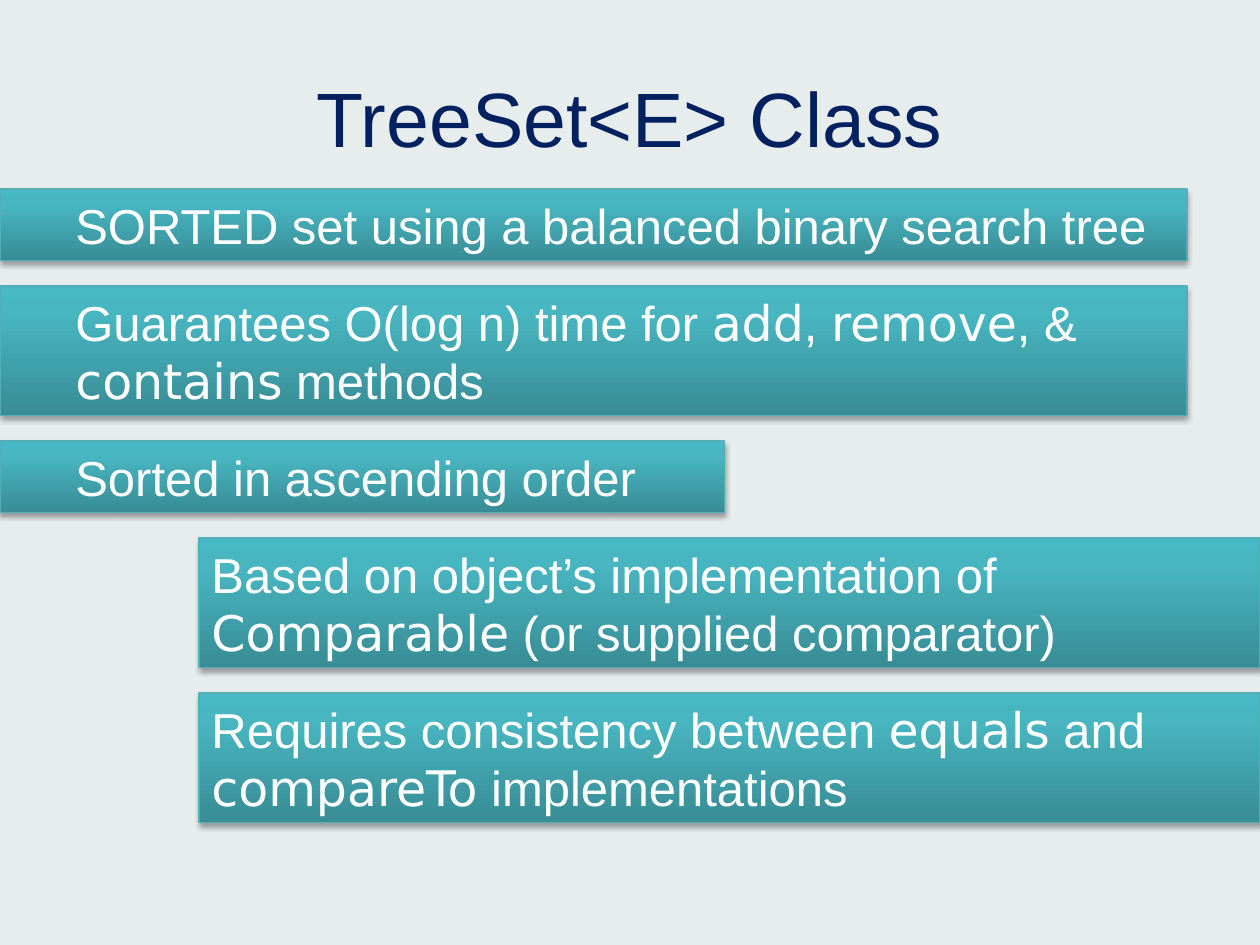
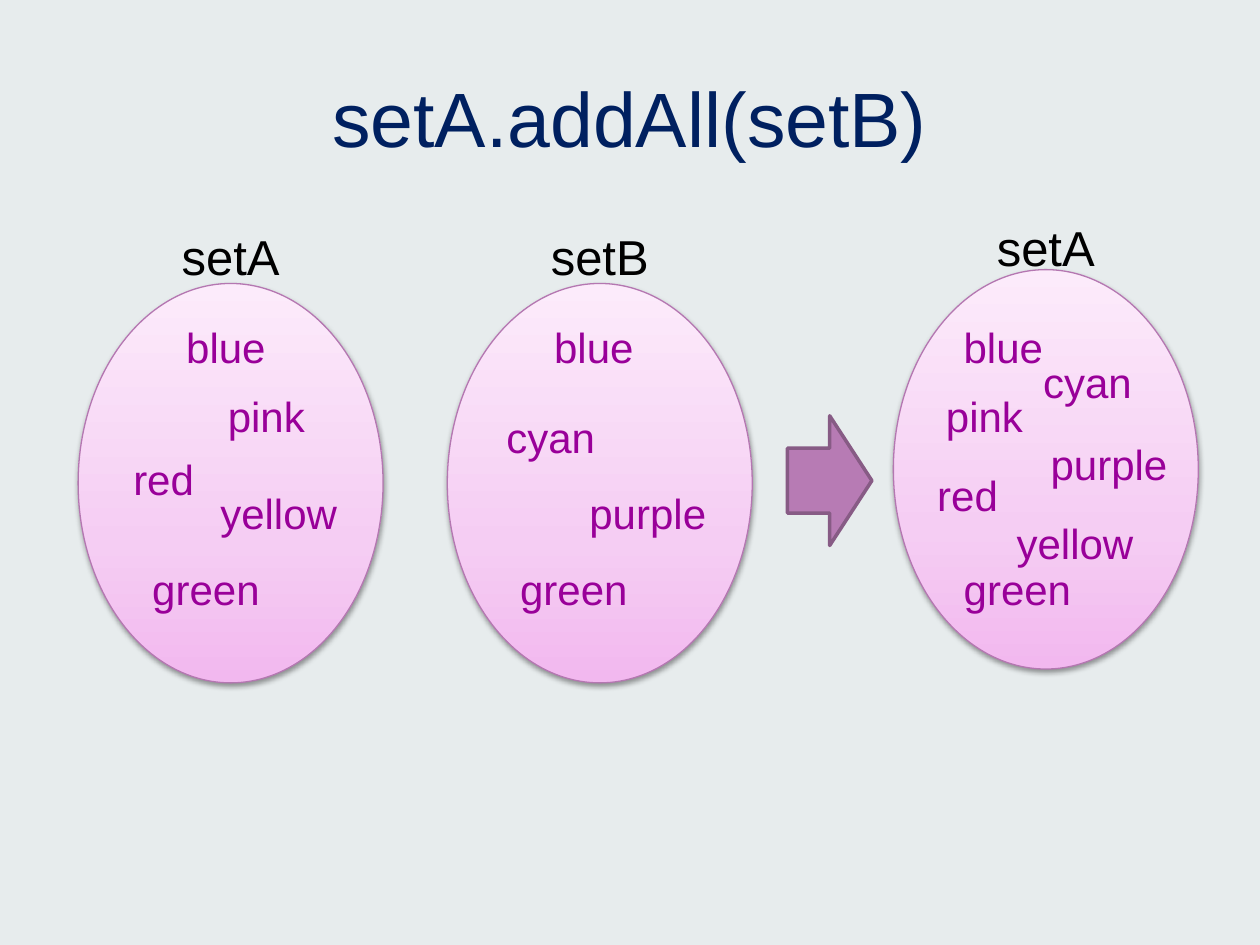
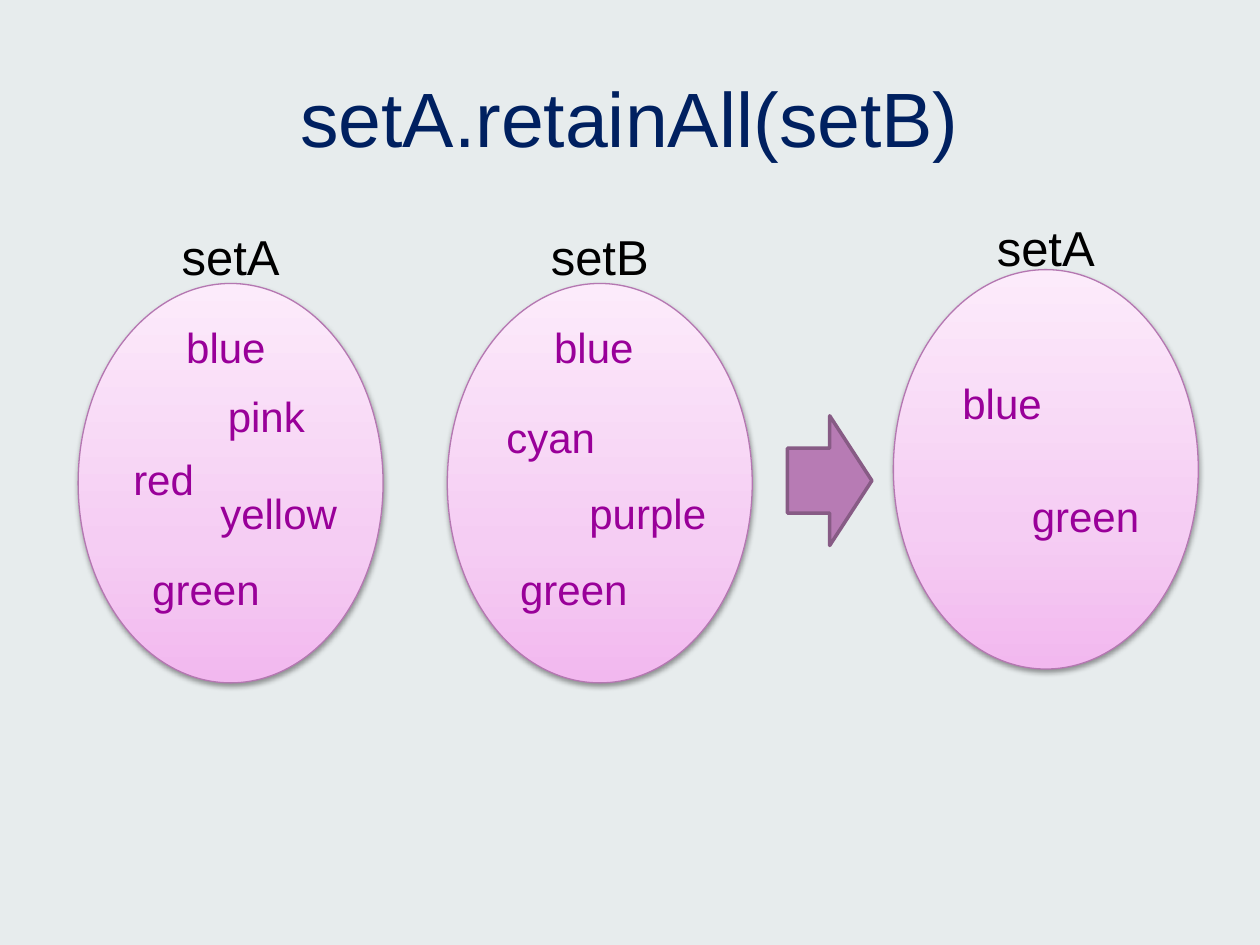
from dataclasses import dataclass

from lxml.etree import SubElement
from pptx import Presentation
from pptx.dml.color import RGBColor
from pptx.enum.shapes import MSO_SHAPE as Preset
from pptx.enum.text import MSO_ANCHOR as Anchor, MSO_AUTO_SIZE as AutoSize, PP_ALIGN as Align
from pptx.oxml.ns import qn
from pptx.shapes.autoshape import Shape
from pptx.shapes.group import GroupShape
from pptx.slide import Slide
from pptx.util import Inches, Pt

BODY_FONT = "Arial"
CODE_FONT = "DejaVu Sans"
BACKGROUND = "E7ECED"
NAVY = "002060"
WHITE = "FFFFFF"
BLACK = "000000"
WORD_COLOR = "990099"
TITLE_ONLY = 5

BAR_TOP = 1.5
BAR_GAP = 0.2
LINE_HEIGHTS = {1: 0.57, 2: 1.03}
OVAL_WIDTH, OVAL_HEIGHT = 2.42, 3.17
LABEL_WIDTH, LABEL_HEIGHT = 1.08, 0.57
WORD_HEIGHT = 0.5
WORD_WIDTHS = {
    "blue": 0.83, "red": 0.83, "pink": 0.83, "green": 1.09,
    "cyan": 1.08, "yellow": 1.14, "purple": 1.14,
}


@dataclass(frozen=True)
class Finish:
    stops: tuple[tuple[int, str], ...]
    line: str
    shadow_alpha: int
    shadow_distance: float


@dataclass(frozen=True)
class Bar:
    text: str
    left: float
    width: float
    lines: int
    level: int = 0


@dataclass(frozen=True)
class Word:
    text: str
    left: float
    top: float


@dataclass(frozen=True)
class ColorSet:
    name: str
    left: float
    top: float
    label_top: float
    words: tuple[Word, ...]


TEAL = Finish(((0, "388C95"), (80, "48B6C1"), (100, "46B9C4")), "55AEB7", 35, 1.8)
PINK = Finish(((0, "F2B8EF"), (35, "F5CDF3"), (100, "FCEBFB")), "B477B1", 38, 1.6)

BARS = (
    Bar("SORTED set using a balanced binary search tree", 0, 9.42, 1, 1),
    Bar("Guarantees O(log n) time for `add`, `remove`, & `contains` methods", 0, 9.42, 2, 1),
    Bar("Sorted in ascending order", 0, 5.75, 1, 1),
    Bar("Based on object’s implementation of `Comparable` (or supplied comparator)", 1.58, 8.42, 2),
    Bar("Requires consistency between `equals` and `compareTo` implementations", 1.58, 8.42, 2),
)

SET_A = ColorSet("setA", 0.62, 2.25, 1.75, (
    Word("blue", 1.38, 2.5), Word("red", 0.96, 3.55), Word("green", 1.11, 4.42),
    Word("pink", 1.71, 3.05), Word("yellow", 1.65, 3.82),
))
SET_B = ColorSet("setB", 3.55, 2.25, 1.75, (
    Word("blue", 4.3, 2.5), Word("green", 4.03, 4.42),
    Word("cyan", 3.92, 3.22), Word("purple", 4.58, 3.82),
))
UNION_WORDS = (
    Word("blue", 7.55, 2.5), Word("red", 7.34, 3.68), Word("green", 7.55, 4.42),
    Word("pink", 7.41, 3.05), Word("yellow", 7.97, 4.06),
    Word("cyan", 8.18, 2.78), Word("purple", 8.24, 3.43),
)
INTERSECTION_WORDS = (Word("blue", 7.54, 2.95), Word("green", 8.09, 3.84))


def rgb(color: str) -> RGBColor:
    return RGBColor.from_string(color)


def box(left: float, top: float, width: float, height: float) -> tuple:
    return Inches(left), Inches(top), Inches(width), Inches(height)


def style_font(font, size: float, color: str, name: str = BODY_FONT) -> None:
    font.name = name
    font.size = Pt(size)
    font.color.rgb = rgb(color)


def add_color(parent, color: str):
    element = SubElement(parent, qn("a:srgbClr"))
    element.set("val", color)
    return element


def apply_finish(shape: Shape, finish: Finish) -> None:
    shape.fill.gradient()
    shape.fill.gradient_angle = 90
    properties = shape.element.spPr
    stop_list = properties.find(qn("a:gradFill")).find(qn("a:gsLst"))
    for old_stop in list(stop_list):
        stop_list.remove(old_stop)
    for position, color in finish.stops:
        stop = SubElement(stop_list, qn("a:gs"))
        stop.set("pos", str(position * 1000))
        add_color(stop, color)

    shape.line.color.rgb = rgb(finish.line)
    shape.line.width = Pt(0.75)

    shape.shadow.inherit = False
    shadow = SubElement(properties.find(qn("a:effectLst")), qn("a:outerShdw"))
    shadow.set("blurRad", str(Pt(3.1)))
    shadow.set("dist", str(Pt(finish.shadow_distance)))
    shadow.set("dir", "5400000")
    shadow.set("rotWithShape", "0")
    alpha = SubElement(add_color(shadow, BLACK), qn("a:alpha"))
    alpha.set("val", str(finish.shadow_alpha * 1000))


def add_titled_slide(presentation, title: str) -> Slide:
    slide = presentation.slides.add_slide(presentation.slide_layouts[TITLE_ONLY])
    shape = slide.shapes.title
    shape.left, shape.top, shape.width, shape.height = box(0.5, 0.3, 9, 1.25)
    frame = shape.text_frame
    frame.text = title
    frame.vertical_anchor = Anchor.MIDDLE
    frame.auto_size = AutoSize.NONE
    paragraph = frame.paragraphs[0]
    paragraph.alignment = Align.CENTER
    style_font(paragraph.runs[0].font, 44, NAVY)
    return slide


def add_bar(slide: Slide, bar: Bar, top: float) -> None:
    height = LINE_HEIGHTS[bar.lines]
    shape = slide.shapes.add_shape(Preset.RECTANGLE, *box(bar.left, top, bar.width, height))
    apply_finish(shape, TEAL)
    frame = shape.text_frame
    frame.word_wrap = True
    frame.auto_size = AutoSize.SHAPE_TO_FIT_TEXT
    frame.vertical_anchor = Anchor.MIDDLE
    paragraph = frame.paragraphs[0]
    paragraph.alignment = Align.LEFT
    if bar.level:
        paragraph.level = bar.level
        paragraph._p.get_or_add_pPr().set("marL", str(Inches(0.5 * bar.level)))
    for index, part in enumerate(bar.text.split("`")):
        if part:
            run = paragraph.add_run()
            run.text = part
            style_font(run.font, 28, WHITE, CODE_FONT if index % 2 else BODY_FONT)


def add_text(group: GroupShape, text: str, place: tuple, size: float, color: str,
             alignment: Align = Align.LEFT) -> None:
    frame = group.shapes.add_textbox(*place).text_frame
    frame.word_wrap = True
    frame.auto_size = AutoSize.SHAPE_TO_FIT_TEXT
    frame.text = text
    paragraph = frame.paragraphs[0]
    paragraph.alignment = alignment
    style_font(paragraph.runs[0].font, size, color)


def add_color_set(slide: Slide, color_set: ColorSet) -> None:
    group = slide.shapes.add_group_shape()
    oval = group.shapes.add_shape(
        Preset.OVAL, *box(color_set.left, color_set.top, OVAL_WIDTH, OVAL_HEIGHT))
    apply_finish(oval, PINK)
    label_left = color_set.left + (OVAL_WIDTH - LABEL_WIDTH) / 2
    label_place = box(label_left, color_set.label_top, LABEL_WIDTH, LABEL_HEIGHT)
    add_text(group, color_set.name, label_place, 28, BLACK, Align.CENTER)
    for word in color_set.words:
        place = box(word.left, word.top, WORD_WIDTHS[word.text], WORD_HEIGHT)
        add_text(group, word.text, place, 24, WORD_COLOR)


def add_arrow(slide: Slide) -> None:
    arrow = slide.shapes.add_shape(Preset.RIGHT_ARROW, *box(6.25, 3.3, 0.67, 1.03))
    arrow.shadow.inherit = False
    arrow.fill.solid()
    arrow.fill.fore_color.rgb = rgb("B77BB4")
    arrow.line.color.rgb = rgb("875B85")
    arrow.line.width = Pt(2)


def add_tree_set_slide(presentation) -> None:
    slide = add_titled_slide(presentation, "TreeSet<E> Class")
    top = BAR_TOP
    for bar in BARS:
        add_bar(slide, bar, top)
        top += LINE_HEIGHTS[bar.lines] + BAR_GAP


def add_operation_slide(presentation, title: str, result_words: tuple[Word, ...]) -> None:
    slide = add_titled_slide(presentation, title)
    add_color_set(slide, SET_A)
    add_color_set(slide, SET_B)
    add_arrow(slide)
    add_color_set(slide, ColorSet("setA", 7.09, 2.14, 1.68, result_words))


def main() -> None:
    presentation = Presentation()
    presentation.slide_width = Inches(10)
    presentation.slide_height = Inches(7.5)
    background = presentation.slide_master.background.fill
    background.solid()
    background.fore_color.rgb = rgb(BACKGROUND)

    add_tree_set_slide(presentation)
    add_operation_slide(presentation, "setA.addAll(setB)", UNION_WORDS)
    add_operation_slide(presentation, "setA.retainAll(setB)", INTERSECTION_WORDS)
    presentation.save("out.pptx")


if __name__ == "__main__":
    main()
